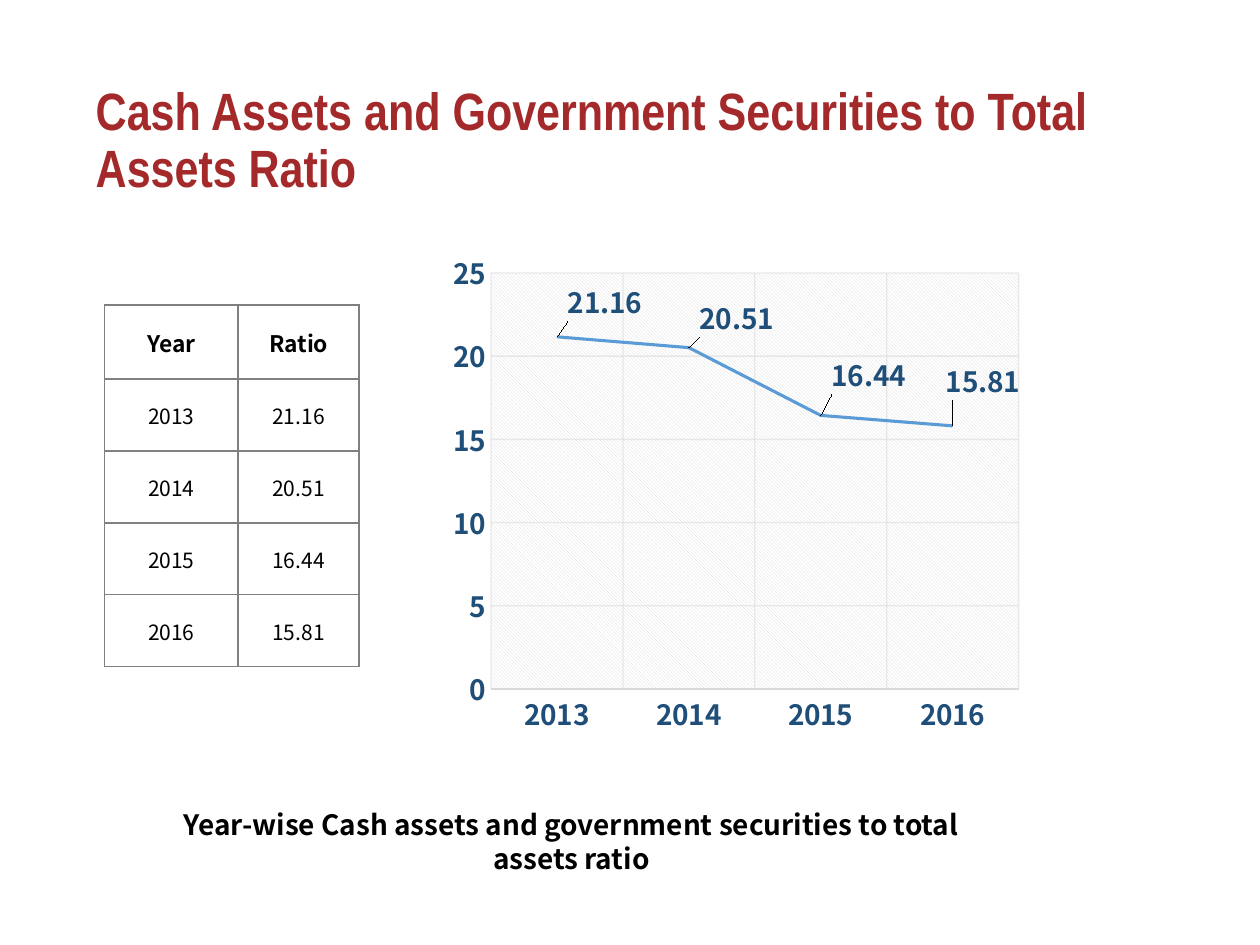
from lxml import etree
from pptx import Presentation
from pptx.chart.data import CategoryChartData
from pptx.dml.color import RGBColor
from pptx.enum.chart import XL_CHART_TYPE, XL_LABEL_POSITION, XL_TICK_MARK
from pptx.enum.dml import MSO_PATTERN
from pptx.enum.text import MSO_ANCHOR, MSO_AUTO_SIZE, PP_ALIGN
from pptx.oxml import parse_xml
from pptx.oxml.ns import nsdecls, qn
from pptx.util import Inches, Pt

LINE = XL_CHART_TYPE.LINE
NO_TICK = XL_TICK_MARK.NONE
RIGHT = XL_LABEL_POSITION.RIGHT
LIGHT_DIAGONAL = MSO_PATTERN.LIGHT_DOWNWARD_DIAGONAL
MIDDLE = MSO_ANCHOR.MIDDLE
NO_AUTOFIT = MSO_AUTO_SIZE.NONE
LEFT, CENTER = PP_ALIGN.LEFT, PP_ALIGN.CENTER

BODY_FONT = "Noto Sans CJK JP"
RED, NAVY, BLUE = "A4292A", "1F4E79", "5B9BD5"
BLACK, WHITE, GRAY, BORDER = "000000", "FFFFFF", "D9D9D9", "808080"

RATIOS = {"2013": 21.16, "2014": 20.51, "2015": 16.44, "2016": 15.81}
# Shift of each data label, as fractions of the chart's width and height
LABEL_SHIFTS = [(0.01, -0.07), (0.01, -0.06), (0.01, -0.08), (-0.02, -0.09)]


def rgb(color):
    return RGBColor.from_string(color)


def set_font(font, size, color, bold=False, name=BODY_FONT):
    font.name = name
    font.size = Pt(size)
    font.bold = bold
    font.color.rgb = rgb(color)


def add_title(s, text):
    title = s.shapes.title
    title.left, title.top = Inches(0.66), Inches(0.4)
    title.width, title.height = Inches(8.62), Inches(1.45)
    tf = title.text_frame
    tf.text = text
    tf.auto_size = NO_AUTOFIT
    tf.vertical_anchor = MIDDLE
    p = tf.paragraphs[0]
    p.alignment = LEFT
    p.line_spacing = 0.9
    set_font(p.font, 30, RED, True, "Arial Narrow")


def add_caption(s, text):
    sp = s.shapes.add_textbox(Inches(1.33), Inches(6.36), Inches(6.41), Inches(0.64))
    tf = sp.text_frame
    tf.word_wrap = True
    p = tf.paragraphs[0]
    p.text = text
    p.alignment = CENTER
    set_font(p.font, 16, BLACK, True)


def add_borders(cell):
    tc_pr = cell._tc.get_or_add_tcPr()
    for i, side in enumerate(("lnL", "lnR", "lnT", "lnB")):
        tc_pr.insert(i, parse_xml(
            f'<a:{side} {nsdecls("a")} w="12700"><a:solidFill>'
            f'<a:srgbClr val="{BORDER}"/></a:solidFill></a:{side}>'))


def fill_cell(cell, text, header):
    cell.fill.background()
    cell.vertical_anchor = MIDDLE
    cell.margin_left = cell.margin_right = cell.margin_top = Inches(0.01)
    cell.margin_bottom = 0
    p = cell.text_frame.paragraphs[0]
    p.text = text
    p.alignment = CENTER
    set_font(p.font, 13 if header else 12, BLACK, header)
    add_borders(cell)


def add_ratio_table(s):
    rows = [("Year", "Ratio")] + [(year, f"{v:.2f}") for year, v in RATIOS.items()]
    table = s.shapes.add_table(len(rows), 2, Inches(0.83), Inches(2.42),
                               Inches(2.02), Inches(2.87)).table
    table.horz_banding = False
    for column, width in zip(table.columns, (1.06, 0.96)):
        column.width = Inches(width)
    for i, row in enumerate(rows):
        table.rows[i].height = Inches(0.57 if i else 0.59)
        for j, text in enumerate(row):
            fill_cell(table.cell(i, j), text, i == 0)


def manual_layout(**values):
    """Build a c:layout element from the children of its manualLayout."""
    layout = etree.Element(qn("c:layout"))
    manual = etree.SubElement(layout, qn("c:manualLayout"))
    for tag, value in values.items():
        etree.SubElement(manual, qn(f"c:{tag}")).set("val", str(value))
    return layout


def format_axis(axis):
    axis.major_tick_mark = axis.minor_tick_mark = NO_TICK
    set_font(axis.tick_labels.font, 16, NAVY, True)
    axis.has_major_gridlines = True
    line = axis.major_gridlines.format.line
    line.width = Pt(0.75)
    line.color.rgb = rgb(GRAY)
    for color in axis.major_gridlines._xAx.iterfind(
            f".//{qn('c:majorGridlines')}//{qn('a:srgbClr')}"):
        etree.SubElement(color, qn("a:alpha")).set("val", "54000")


def format_plot_area(chart):
    plot_area = chart._chartSpace.chart.plotArea
    for old in plot_area.findall(qn("c:layout")):
        plot_area.remove(old)
    plot_area.insert(0, manual_layout(layoutTarget="inner", xMode="edge", yMode="edge",
                                      x=0.076, y=0.039, w=0.891, h=0.826))
    plot_area.append(parse_xml(
        f'<c:spPr {nsdecls("c", "a")}><a:pattFill prst="{LIGHT_DIAGONAL.xml_value}">'
        f'<a:fgClr><a:srgbClr val="{GRAY}"/></a:fgClr>'
        f'<a:bgClr><a:srgbClr val="{WHITE}"/></a:bgClr>'
        '</a:pattFill><a:ln><a:noFill/></a:ln></c:spPr>'))


def place_labels(series):
    labels = series.data_labels
    labels.show_value = True
    labels.position = RIGHT
    set_font(labels.font, 16, NAVY, True)
    for i, (x, y) in enumerate(LABEL_SHIFTS):
        label = series.points[i].data_label
        set_font(label.font, 16, NAVY, True)
        label.position = RIGHT
        label._dLbl.insert(1, manual_layout(x=x, y=y))


def add_ratio_chart(s):
    data = CategoryChartData()
    data.categories = list(RATIOS)
    data.add_series("Series 1", list(RATIOS.values()))
    chart = s.shapes.add_chart(LINE, Inches(3.54), Inches(2.01),
                               Inches(4.7), Inches(4), data).chart
    chart.has_legend = chart.has_title = False
    set_font(chart.font, 16, NAVY, True)
    format_plot_area(chart)

    for axis in (chart.category_axis, chart.value_axis):
        format_axis(axis)
    axis_line = chart.category_axis.format.line
    axis_line.width = Pt(0.75)
    axis_line.color.rgb = rgb(GRAY)
    value_axis = chart.value_axis
    value_axis.format.line.fill.background()
    value_axis.minimum_scale, value_axis.maximum_scale = 0, 25
    value_axis.major_unit = 5

    chart.plots[0].vary_by_categories = False
    series = chart.plots[0].series[0]
    series.smooth = False
    series.format.line.width = Pt(1.75)
    series.format.line.color.rgb = rgb(BLUE)
    place_labels(series)


def main():
    prs = Presentation()
    prs.slide_width, prs.slide_height = Inches(10), Inches(7.5)
    s = prs.slides.add_slide(prs.slide_layouts[5])
    add_title(s, "Cash Assets and Government Securities to Total Assets Ratio")
    add_ratio_chart(s)
    add_caption(s, "Year-wise Cash assets and government securities to total assets ratio")
    add_ratio_table(s)
    prs.save("out.pptx")


if __name__ == "__main__":
    main()
